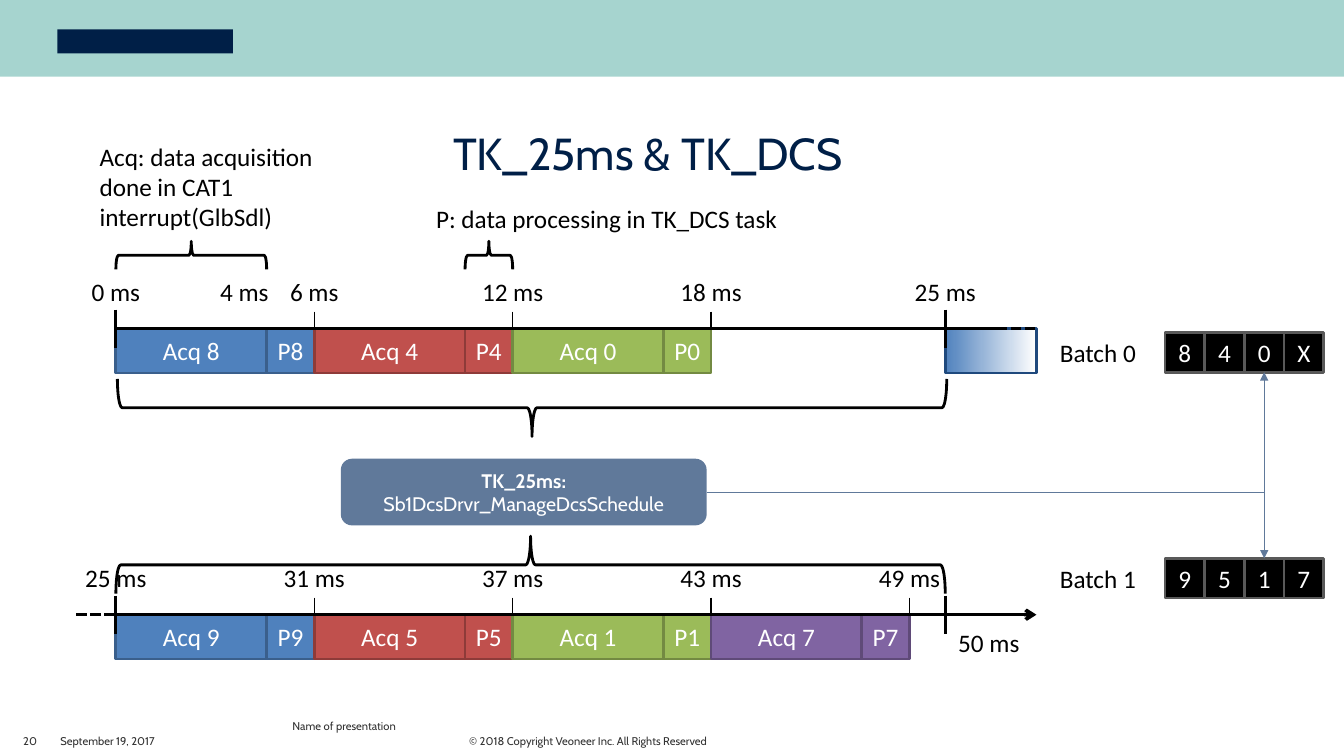
from pptx import Presentation
from pptx.dml.color import RGBColor
from pptx.enum.dml import MSO_LINE as Dash
from pptx.enum.shapes import MSO_CONNECTOR as Link, MSO_SHAPE as Shape
from pptx.enum.text import MSO_ANCHOR as Anchor, PP_ALIGN as Align
from pptx.oxml.ns import qn
from pptx.util import Cm, Pt
from lxml.etree import SubElement

COLORS = {
    "mint": "A6D4CF", "navy": "001F47", "steel": "60799A", "ink": "323232",
    "black": "000000", "white": "FFFFFF", "gray": "595959", "deep": "1F497D",
    "blue": "4F81BD", "blue_edge": "3A5F8C",
    "red": "C0504D", "red_edge": "8E3B39",
    "green": "9BBB59", "green_edge": "738A42",
    "purple": "8064A2", "purple_edge": "5F4A78",
}
BLOCK_COLORS = ["blue", "red", "green", "purple"]
SLOT, ACQUIRE, BLOCK_HEIGHT = 5.0, 3.8, 1.12
CYCLE, AXIS_END = 20.9, 23.2


def rgb(name):
    return RGBColor.from_string(COLORS[name])


def write(shape, text, size=18, font="Calibri", color="black", align=Align.LEFT,
          anchor=Anchor.TOP, inset=None, wrap=True, bold_lines=(), spacing=None):
    frame = shape.text_frame
    frame.word_wrap = wrap
    frame.vertical_anchor = anchor
    if inset is not None:
        frame.margin_left = frame.margin_right = Cm(inset)
        frame.margin_top = frame.margin_bottom = Cm(inset)
    for index, line in enumerate(text.split("\n")):
        paragraph = frame.add_paragraph() if index else frame.paragraphs[0]
        paragraph.alignment = align
        if spacing:
            paragraph.line_spacing = spacing
        run = paragraph.add_run()
        run.text = line
        run.font.size = Pt(size)
        run.font.name = font
        run.font.bold = index in bold_lines
        run.font.color.rgb = rgb(color)


def label(slide, text, left, top, width, height, **style):
    box = slide.shapes.add_textbox(Cm(left), Cm(top), Cm(width), Cm(height))
    write(box, text, **style)


def draw(slide, kind, left, top, width, height, fill=None, edge=None):
    shape = slide.shapes.add_shape(kind, Cm(left), Cm(top), Cm(width), Cm(height))
    shape.shadow.inherit = False
    if fill:
        shape.fill.solid()
        shape.fill.fore_color.rgb = rgb(fill)
    else:
        shape.fill.background()
    if edge:
        shape.line.color.rgb = rgb(edge)
        shape.line.width = Pt(2)
    else:
        shape.line.fill.background()
    return shape


def stroke(slide, x1, y1, x2, y2, width, color="black", kind=Link.STRAIGHT, head=None, dash=None):
    line = slide.shapes.add_connector(kind, Cm(x1), Cm(y1), Cm(x2), Cm(y2))
    line.line.color.rgb = rgb(color)
    line.line.width = Pt(width)
    if dash:
        line.line.dash_style = dash
    properties = line._element.spPr
    if head:
        SubElement(properties.find(qn("a:ln")), qn("a:tailEnd"), type=head)
    SubElement(properties, qn("a:effectLst"))
    return line


def brace(slide, left, top, width, height, up=True):
    shape = draw(slide, Shape.LEFT_BRACE, left + (width - height) / 2,
                 top + (height - width) / 2, height, width, edge="black")
    shape.rotation = 90 if up else 270


def header(slide, width, height):
    draw(slide, Shape.RECTANGLE, 0, 0, width, height, fill="mint")
    draw(slide, Shape.RECTANGLE, 1.45, 0.74, 4.42, 0.61, fill="navy")


def footer(slide, top):
    small = dict(size=8, font="Cabin", color="ink", anchor=Anchor.BOTTOM, inset=0, wrap=False)
    label(slide, "20", 0.56, top, 0.4, 0.33, align=Align.CENTER, **small)
    label(slide, "September 19, 2017", 1.52, top, 2.41, 0.33, **small)
    label(slide, "Name of presentation", 7.37, top - 0.66, 9, 0.61, **small)
    label(slide, "© 2018 Copyright Veoneer Inc. All Rights Reserved",
          11.53, top, 6.3, 0.33, align=Align.RIGHT, **small)


def timeline(slide, left, axis, blocks, marks):
    slots = range(1, len(blocks) + 1)
    for slot in slots:
        tick = left + slot * SLOT
        stroke(slide, tick, axis - 0.43, tick, axis + 0.53, 1)
    for slot, (number, color) in enumerate(zip(blocks, BLOCK_COLORS)):
        start = left + slot * SLOT
        parts = [("Acq " + number, start, ACQUIRE),
                 ("P" + number, start + ACQUIRE, SLOT - ACQUIRE)]
        for text, x, width in parts:
            block = draw(slide, Shape.RECTANGLE, x, axis, width, BLOCK_HEIGHT,
                         fill=color, edge=color + "_edge")
            write(block, text, color="white", align=Align.CENTER, anchor=Anchor.MIDDLE, inset=0)
    for offset in (0, CYCLE):
        stroke(slide, left + offset, axis - 0.48, left + offset, axis + 0.48, 2)
    for text, offset, drop in marks:
        label(slide, text, left + offset - 1.1, axis + drop, 2.2, 1.02, align=Align.CENTER)


def first_cycle(slide, left, axis):
    next_cycle = draw(slide, Shape.RECTANGLE, left + CYCLE, axis, AXIS_END - CYCLE,
                      BLOCK_HEIGHT, edge="deep")
    next_cycle.fill.gradient()
    next_cycle.fill.gradient_angle = 0
    for stop, color in zip(next_cycle.fill.gradient_stops, ("blue", "white")):
        stop.color.rgb = rgb(color)
    marks = [(f"{6 * slot} ms", slot * SLOT, -1.45) for slot in range(4)]
    marks += [("4 ms", 3.24, -1.45), ("25 ms", CYCLE, -1.45)]
    timeline(slide, left, axis, "840", marks)
    stroke(slide, left, axis, left + 22.2, axis, 2.5)
    stroke(slide, left + 22.2, axis, left + AXIS_END, axis, 2.5, dash=Dash.SQUARE_DOT)
    brace(slide, left, axis - 2.2, ACQUIRE, 0.71)
    brace(slide, left + SLOT + ACQUIRE, axis - 2.2, SLOT - ACQUIRE, 0.71)
    brace(slide, left + 0.04, axis + 1.27, CYCLE, 1.45, up=False)
    label(slide, "Acq: data acquisition done in CAT1 interrupt(GlbSdl)",
          left - 0.66, axis - 4.85, 6.27, 2.57)
    label(slide, "P: data processing in TK_DCS task", left + 7.82, axis - 3.28, 10.72, 1.02)


def second_cycle(slide, left, axis):
    marks = [(f"{25 + 6 * slot} ms", slot * SLOT, -1.45) for slot in range(5)]
    marks.append(("50 ms", CYCLE + 1.1, 0.2))
    timeline(slide, left, axis, "9517", marks)
    stroke(slide, left, axis, left + AXIS_END, axis, 2.5, head="arrow")
    stroke(slide, left - 1, axis, left, axis, 2.5, dash=Dash.SQUARE_DOT)
    brace(slide, left, axis - 1.98, CYCLE, 1.45)


def batch(slide, left, top, title, numbers):
    label(slide, title, left - 2.9, top, 2.49, 1.02)
    cells = []
    for index, number in enumerate(numbers):
        cell = draw(slide, Shape.RECTANGLE, left + index, top, 1, 1, fill="black", edge="gray")
        write(cell, number, color="white", align=Align.CENTER, anchor=Anchor.MIDDLE, inset=0)
        cells.append(cell)
    return cells


def schedule_task(slide, left, top, width, height, upper_cell, lower_cell):
    task = draw(slide, Shape.ROUNDED_RECTANGLE, left, top, width, height, fill="steel")
    write(task, "TK_25ms:\nSb1DcsDrvr_ManageDcsSchedule", size=14, font="Cabin", color="white",
          align=Align.CENTER, anchor=Anchor.MIDDLE, inset=0.1, bold_lines=(0,))
    right, middle = left + width, top + height / 2
    branch = (upper_cell.left + upper_cell.width / 2) / Cm(1)
    to_upper = stroke(slide, right, middle, branch, upper_cell.top / Cm(1) + 1, 0.5,
                      color="steel", kind=Link.ELBOW, head="triangle")
    to_upper._element.spPr.find(qn("a:prstGeom")).set("prst", "bentConnector2")
    to_upper.begin_connect(task, 3)
    to_upper.end_connect(upper_cell, 2)
    to_lower = stroke(slide, branch, middle, branch, lower_cell.top / Cm(1), 0.5,
                      color="steel", head="triangle")
    to_lower.end_connect(lower_cell, 0)


def main():
    deck = Presentation()
    deck.slide_width, deck.slide_height = Cm(33.87), Cm(19.05)
    slide = deck.slides.add_slide(deck.slide_layouts[6])
    header(slide, 33.87, 1.93)
    footer(slide, 18.52)
    label(slide, "TK_25ms & TK_DCS", 11.42, 3.33, 12, 1.22, size=32, font="Cabin",
          color="navy", inset=0, spacing=0.9)
    first_cycle(slide, 2.92, 8.28)
    second_cycle(slide, 2.92, 15.49)
    upper_cells = batch(slide, 29.36, 8.38, "Batch 0", "840X")
    lower_cells = batch(slide, 29.36, 14.07, "Batch 1", "9517")
    schedule_task(slide, 8.59, 11.56, 9.22, 1.68, upper_cells[2], lower_cells[2])
    deck.save("out.pptx")


if __name__ == "__main__":
    main()
